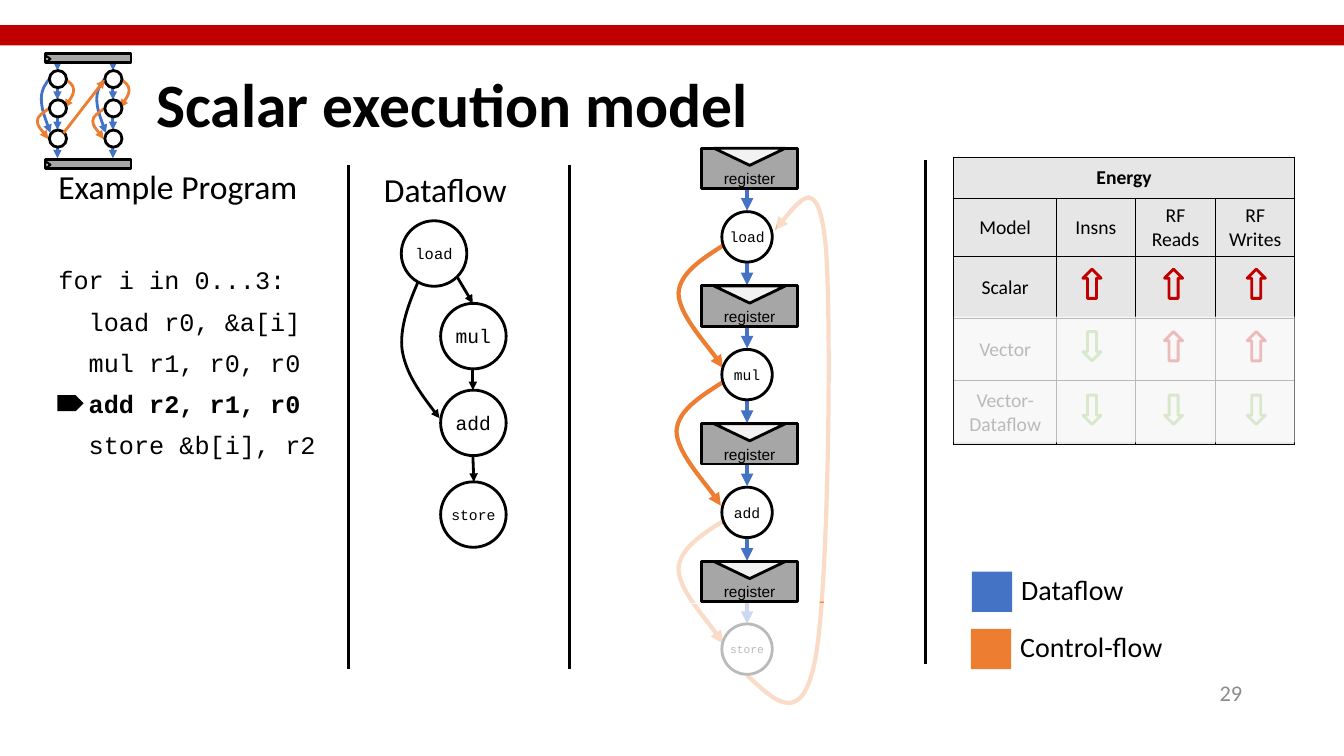
"""Build the slide that explains the scalar execution model."""
from dataclasses import dataclass
from typing import Optional

from lxml import etree
from pptx import Presentation
from pptx import util as u
from pptx.dml import color
from pptx.enum import shapes, text
from pptx.oxml import ns

Point = tuple[float, float]
KIND, ALIGN, ANCHOR, FIT = shapes.MSO_SHAPE, text.PP_ALIGN, text.MSO_ANCHOR, text.MSO_AUTO_SIZE


@dataclass(frozen=True)
class Theme:
    black: str = "000000"
    white: str = "FFFFFF"
    red: str = "C00000"
    green: str = "70AD47"
    blue: str = "4472C4"
    orange: str = "ED7D31"
    register: str = "A6A6A6"
    notch: str = "F2F2F2"
    cell: str = "E7E6E6"
    number: str = "8C8C8C"
    sans: str = "Calibri"
    mono: str = "Courier New"
    label: str = "Arial"
    title_size: float = 44
    heading_size: float = 24
    legend_size: float = 20
    code_size: float = 18
    number_size: float = 16
    table_size: float = 14
    register_size: float = 11
    stage_size: float = 10.5
    stroke: float = 2
    flow_stroke: float = 3


@dataclass(frozen=True)
class Box:
    left: float
    top: float
    width: float
    height: float

    def lengths(self) -> list[u.Length]:
        return [length(value) for value in (self.left, self.top, self.width, self.height)]


@dataclass(frozen=True)
class Node:
    name: str
    left: float
    top: float
    size: float


THEME = Theme()
GRAPH = [Node("load", 3.98, 2.19, 11), Node("mul", 4.37, 3.01, 14),
         Node("add", 4.37, 3.87, 14), Node("store", 4.37, 4.78, 10.5)]
GRAPH_EDGES = [((4.53, 2.74), (4.69, 3.01)), ((4.69, 3.65), (4.69, 3.87)), ((4.69, 4.52), (4.7, 4.78))]
GRAPH_BYPASS = [(4.15, 2.79), (4.05, 3.02), (3.96, 3.26), (3.99, 3.48), (4.03, 3.71), (4.19, 3.93), (4.36, 4.15)]
LOOP_BACK = [(7.41, 6.7), (7.69, 6.96), (7.96, 7.23), (8.09, 6.52), (8.22, 5.81), (8.25, 3.14),
             (8.19, 2.44), (8.12, 1.73), (7.91, 2.01), (7.69, 2.28)]
CONTROL = [(7.18, 2.43), (6.96, 2.57), (6.74, 2.71), (6.73, 2.91), (6.73, 3.11), (7.1, 3.52), (7.17, 3.65)]
STAGE_TOP, STAGE_PITCH = 1.47, (5.57 - 1.47) / 3
FADED = [Box(9.46, 3.14, 3.38, 1.25), Box(6.67, 5.98, 1.68, 1.12), Box(7.7, 1.94, 0.69, 0.9),
         Box(7.97, 2.84, 0.69, 3.13), Box(6.33, 5.1, 0.83, 0.89)]
CODE = [("", "for i in 0...3:", False), ("  ", "load r0, &a[i]", False), ("  ", "mul r1, r0, r0", False),
        ("  ", "add r2, r1, r0", True), ("  ", "store &b[i], r2", False)]
ENERGY = [["Energy", "", "", ""], ["Model", "Insns", "RF Reads", "RF Writes"],
          ["Scalar", "", "", ""], ["Vector", "", "", ""], ["Vector-Dataflow", "", "", ""]]
TRENDS = [(2.67, "UUU"), (3.29, "DUU"), (3.92, "DDD")]
ICON_CURVES = [
    (THEME.blue, [(0.5, 0.77), (0.45, 0.83), (0.41, 0.89), (0.41, 0.98), (0.41, 1.08), (0.48, 1.26), (0.5, 1.32)]),
    (THEME.orange, [(0.48, 1.08), (0.43, 1.12), (0.37, 1.15), (0.37, 1.2), (0.37, 1.25), (0.46, 1.35), (0.48, 1.38)]),
    (THEME.orange, [(0.64, 0.78), (0.68, 0.81), (0.73, 0.84), (0.73, 0.89), (0.73, 0.94), (0.66, 1.04), (0.64, 1.07)])]


def length(inches: float) -> u.Length:
    return u.Cm(inches * 2.54)


def rgb(value: str) -> color.RGBColor:
    return color.RGBColor.from_string(value)


def add_run(paragraph, words: str, size: float, font: str, tint: str = THEME.black, bold: bool = False) -> None:
    run = paragraph.add_run()
    run.text = words
    run.font.size, run.font.name, run.font.bold = u.Pt(size), font, bold
    run.font.color.rgb = rgb(tint)


def add_shape(parent, kind, box: Box, fill: Optional[str] = None, line: Optional[str] = None,
              weight: float = THEME.stroke, rotation: float = 0):
    shape = parent.shapes.add_shape(kind, *box.lengths())
    shape.shadow.inherit = False
    shape.rotation = rotation
    if fill:
        shape.fill.solid()
        shape.fill.fore_color.rgb = rgb(fill)
    else:
        shape.fill.background()
    if line:
        style_stroke(shape, line, weight, False)
    else:
        shape.line.fill.background()
    return shape


def add_label(shape, words: str, size: float, font: str, insets=(0, 0, 0, 0)) -> None:
    frame = shape.text_frame
    frame.vertical_anchor = ANCHOR.MIDDLE
    frame.margin_left, frame.margin_top, frame.margin_right, frame.margin_bottom = map(length, insets)
    frame.paragraphs[0].alignment = ALIGN.CENTER
    add_run(frame.paragraphs[0], words, size, font)


def add_text(slide, box: Box, words: str, size: float, tint: str = THEME.black, spacing: float = 1,
             align=ALIGN.LEFT, anchor=ANCHOR.TOP, wrap: bool = True) -> None:
    frame = slide.shapes.add_textbox(*box.lengths()).text_frame
    frame.word_wrap, frame.vertical_anchor = wrap, anchor
    frame.auto_size = FIT.NONE if wrap else FIT.SHAPE_TO_FIT_TEXT
    paragraph = frame.paragraphs[0]
    paragraph.alignment, paragraph.line_spacing = align, spacing
    add_run(paragraph, words, size, THEME.sans, tint)


def style_stroke(shape, tint: str, weight: float, arrow: bool) -> None:
    shape.line.width = u.Pt(weight)
    shape.line.color.rgb = rgb(tint)
    if arrow:
        etree.SubElement(shape.element.find(".//" + ns.qn("a:ln")), ns.qn("a:tailEnd"), type="triangle")


def add_line(parent, start: Point, end: Point, tint: str = THEME.black,
             weight: float = THEME.stroke, arrow: bool = True) -> None:
    ends = [length(value) for value in (*start, *end)]
    connector = parent.shapes.add_connector(shapes.MSO_CONNECTOR.STRAIGHT, *ends)
    style_stroke(connector, tint, weight, arrow)
    etree.SubElement(connector.element.spPr, ns.qn("a:effectLst"))


def bezier(a: float, b: float, c: float, d: float, t: float) -> float:
    return (1 - t)**3 * a + 3 * (1 - t)**2 * t * b + 3 * (1 - t) * t**2 * c + t**3 * d


def add_curve(parent, points: list[Point], tint: str, weight: float = THEME.stroke, shift: Point = (0, 0)) -> None:
    placed = [(length(x + shift[0]), length(y + shift[1])) for x, y in points]
    arcs = [placed[first:first + 4] for first in range(0, len(placed) - 1, 3)]
    trail = [tuple(bezier(*axis, step / 20) for axis in zip(*arc)) for arc in arcs for step in range(1, 21)]
    builder = parent.shapes.build_freeform(*placed[0], scale=1.0)
    builder.add_line_segments(trail, close=False)
    shape = builder.convert_to_shape()
    outline = shape.element.find(".//" + ns.qn("a:path"))
    for segment in list(outline)[1:]:
        outline.remove(segment)
    for arc in arcs:
        cubic = etree.SubElement(outline, ns.qn("a:cubicBezTo"))
        for x, y in arc[1:]:
            etree.SubElement(cubic, ns.qn("a:pt"), x=str(x - shape.left), y=str(y - shape.top))
    shape.shadow.inherit = False
    shape.fill.background()
    style_stroke(shape, tint, weight, True)


def add_node(parent, node: Node, diameter: float, fill: Optional[str] = THEME.white) -> None:
    circle = add_shape(parent, KIND.OVAL, Box(node.left, node.top, diameter, diameter), fill, THEME.black)
    if node.name:
        add_label(circle, node.name, node.size, THEME.mono)


def add_title_and_code(slide) -> None:
    title, body = slide.placeholders
    title.left, title.top, title.width, title.height = Box(1.45, 0.34, 6.42, 1.45).lengths()
    body.left, body.top, body.width, body.height = Box(0.48, 2.61, 2.84, 2.29).lengths()
    for holder, anchor in ((title, ANCHOR.MIDDLE), (body, ANCHOR.TOP)):
        frame = holder.text_frame
        frame.auto_size, frame.word_wrap, frame.vertical_anchor = FIT.NONE, True, anchor
    heading = title.text_frame.paragraphs[0]
    heading.alignment, heading.line_spacing = ALIGN.LEFT, 0.9
    add_run(heading, "Scalar execution model", THEME.title_size, THEME.sans, bold=True)
    for index, (indent, code, bold) in enumerate(CODE):
        paragraph = body.text_frame.add_paragraph() if index else body.text_frame.paragraphs[0]
        paragraph.line_spacing, paragraph.space_before = 0.9, u.Pt(10 if index else 0)
        properties = paragraph._p.get_or_add_pPr()
        properties.set("marL", "0")
        properties.set("indent", "0")
        etree.SubElement(properties, ns.qn("a:buNone"))
        add_run(paragraph, indent + code, THEME.code_size, THEME.mono, bold=bold)
    add_shape(slide, KIND.PENTAGON, Box(0.57, 3.92, 0.26, 0.16), THEME.black)


def add_graph(slide) -> None:
    group = slide.shapes.add_group_shape()
    for node in GRAPH:
        add_node(group, node, 0.65, None)
    for start, end in GRAPH_EDGES:
        add_line(group, start, end)
    add_curve(group, GRAPH_BYPASS, THEME.black)


def add_energy_table(slide) -> None:
    table = slide.shapes.add_table(5, 4, *Box(9.46, 1.56, 3.38, 2.84).lengths()).table
    table.first_row = table.horz_banding = False
    for column, width in zip(table.columns, (1.02, 0.78, 0.8, 0.78)):
        column.width = length(width)
    for row, height in zip(table.rows, (0.41, 0.57, 0.62, 0.61, 0.64)):
        row.height = length(height)
    for row, words in enumerate(ENERGY):
        for column, word in enumerate(words):
            cell = table.cell(row, column)
            properties = cell._tc.get_or_add_tcPr()
            for side in ("a:lnL", "a:lnR", "a:lnT", "a:lnB"):
                border = etree.SubElement(properties, ns.qn(side), w=str(u.Pt(1)))
                etree.SubElement(etree.SubElement(border, ns.qn("a:solidFill")), ns.qn("a:srgbClr"), val=THEME.black)
            cell.fill.solid()
            cell.fill.fore_color.rgb = rgb(THEME.cell)
            cell.vertical_anchor = ANCHOR.MIDDLE
            if word:
                paragraph = cell.text_frame.paragraphs[0]
                paragraph.alignment = ALIGN.CENTER
                add_run(paragraph, word, THEME.table_size, THEME.sans, bold=row == 0)
    table.cell(0, 0).merge(table.cell(0, 3))
    for top, trends in TRENDS:
        for left, trend in zip((10.74, 11.55, 12.37), trends):
            tint, rotation = (THEME.red, 0) if trend == "U" else (THEME.green, 180)
            add_shape(slide, KIND.UP_ARROW, Box(left, top, 0.18, 0.29), line=tint, rotation=rotation)


def add_flow(parent, start: float, end: float) -> None:
    add_line(parent, (7.41, start), (7.41, end), THEME.blue, THEME.flow_stroke)


def add_pipeline(slide) -> None:
    tops = [STAGE_TOP + STAGE_PITCH * index for index in range(4)]
    add_curve(slide, LOOP_BACK, THEME.orange, THEME.flow_stroke)
    for index, nudge in enumerate((0, -0.02, 0)):
        add_curve(slide, CONTROL, THEME.orange, THEME.flow_stroke, (nudge, STAGE_PITCH * index))
    add_flow(slide, tops[3] + 0.4, tops[3] + 0.62)
    add_node(slide, Node("store", 7.16, tops[3] + 0.62, 8), 0.5)
    for box in FADED:
        veil = add_shape(slide, KIND.RECTANGLE, box, THEME.white)
        etree.SubElement(veil.element.spPr.find(".//" + ns.qn("a:srgbClr")), ns.qn("a:alpha"), val="73000")
    for top, name in zip(tops, ("load", "mul", "add", "")):
        group = slide.shapes.add_group_shape()
        if name:
            add_flow(group, top + 0.41, top + 0.62)
            add_flow(group, top + 1.14, top + 1.36)
            add_node(group, Node(name, 7.16, top + 0.63, THEME.stage_size), 0.5)
        register = add_shape(group, KIND.RECTANGLE, Box(6.96, top, 0.95, 0.4), THEME.register, THEME.black)
        add_label(register, "register", THEME.register_size, THEME.label, (0.1, 0.3, 0.1, 0.1))
        add_shape(group, KIND.ISOSCELES_TRIANGLE, Box(7.08, top, 0.71, 0.17), THEME.notch, THEME.black, rotation=180)


def add_icon(slide) -> None:
    group = slide.shapes.add_group_shape()
    for shift in (0, 0.55):
        for start, end in ((0.65, 0.7), (0.87, 0.99), (1.17, 1.29), (1.45, 1.57)):
            add_line(group, (0.57 + shift, start), (0.57 + shift, end), THEME.blue)
        for tint, points in ICON_CURVES:
            add_curve(group, points, tint, shift=(shift, 0))
        for top in (0.7, 0.99, 1.29):
            add_node(group, Node("", 0.49 + shift, top, 0), 0.17)
    for top in (0.53, 1.58):
        add_shape(group, KIND.RECTANGLE, Box(0.45, top, 0.85, 0.09), THEME.register, THEME.black)
        add_shape(group, KIND.ISOSCELES_TRIANGLE, Box(0.44, top + 0.03, 0.07, 0.05), THEME.notch, THEME.black, 1.5, 90)
    add_line(group, (0.63, 1.32), (1.04, 0.79), THEME.orange)


def main() -> None:
    presentation = Presentation()
    presentation.slide_width, presentation.slide_height = length(13.33), length(7.5)
    slide = presentation.slides.add_slide(presentation.slide_layouts[1])
    add_shape(slide, KIND.RECTANGLE, Box(-0.01, 0.25, 13.34, 0.2), THEME.red)
    add_title_and_code(slide)
    add_text(slide, Box(0.48, 1.67, 2.69, 0.44), "Example Program", THEME.heading_size, spacing=0.8)
    add_text(slide, Box(3.71, 1.7, 1.51, 0.44), "Dataflow", THEME.heading_size, spacing=0.8)
    add_graph(slide)
    add_energy_table(slide)
    add_pipeline(slide)
    for left, top in ((3.46, 1.64), (5.65, 1.64), (9.18, 1.59)):
        add_line(slide, (left, top), (left, top + 5), arrow=False)
    for left, top, width, tint, words in ((9.64, 5.67, 1.23, THEME.blue, "Dataflow"),
                                          (9.63, 6.24, 1.62, THEME.orange, "Control-flow")):
        add_shape(slide, KIND.RECTANGLE, Box(left, top, 0.4, 0.4), tint)
        add_text(slide, Box(left + 0.39, top - 0.04, width, 0.44), words, THEME.legend_size, wrap=False)
    add_text(slide, Box(9.42, 6.67, 3, 0.4), "29", THEME.number_size, THEME.number,
             align=ALIGN.RIGHT, anchor=ANCHOR.MIDDLE)
    add_icon(slide)
    presentation.save("out.pptx")


if __name__ == "__main__":
    main()
